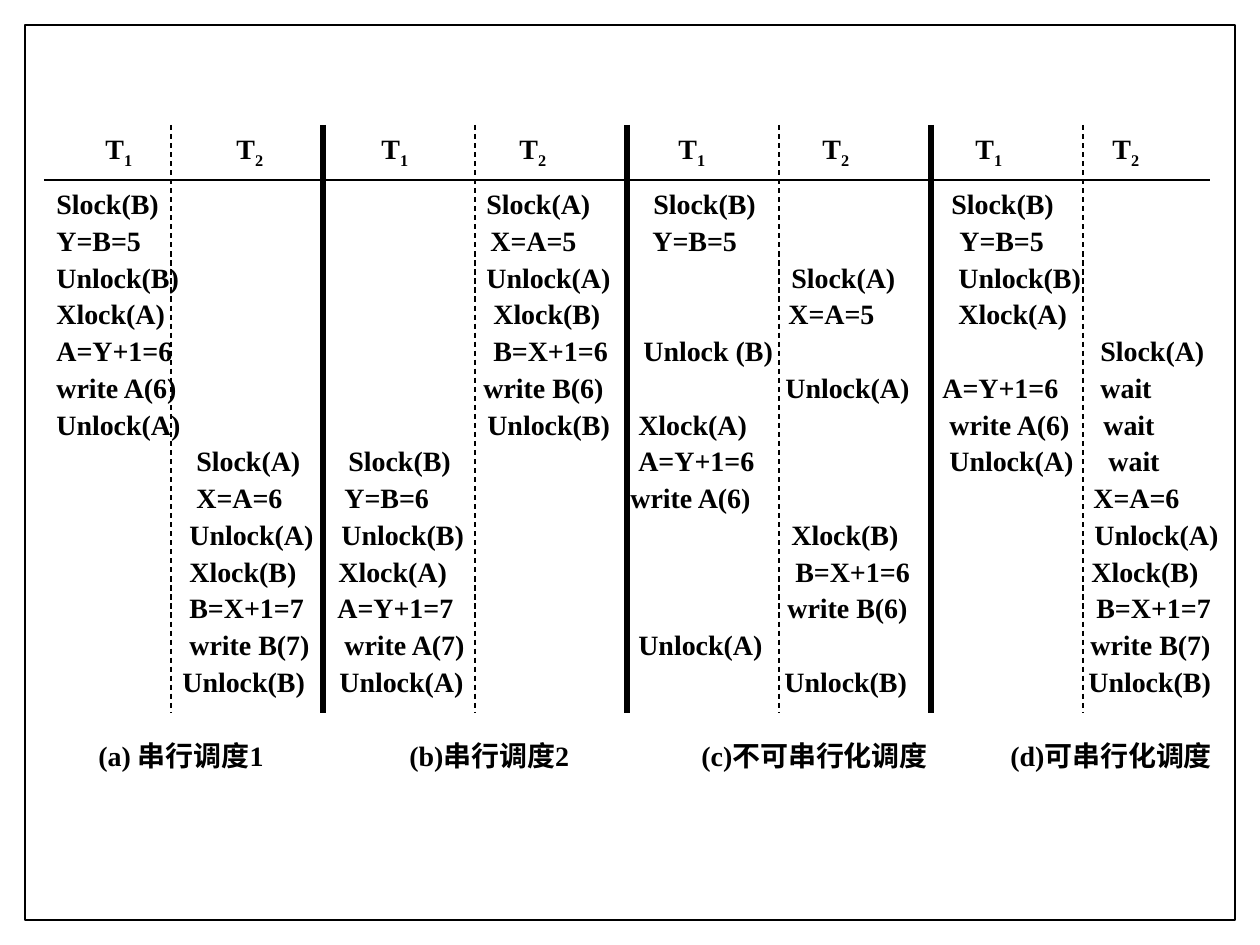
"""Build a slide comparing four schedules of two transactions."""

from dataclasses import dataclass

from lxml.etree import SubElement
from pptx import Presentation
from pptx.dml.color import RGBColor
from pptx.enum.dml import MSO_LINE
from pptx.enum.lang import MSO_LANGUAGE_ID
from pptx.enum.shapes import MSO_CONNECTOR, MSO_SHAPE
from pptx.enum.text import MSO_ANCHOR, PP_ALIGN
from pptx.oxml.ns import qn
from pptx.shapes.shapetree import GroupShapes
from pptx.util import Emu, Inches, Pt

PIXELS_PER_INCH = 126
COLORS = {"ink": "000000", "paper": "FFFFFF"}
LEFT, TEXT_LEFT = 44, 57
TOP, HEADER_BOTTOM, BOTTOM = 125, 180, 713
NARROW, WIDE = 1166, 1191
ROW_HEIGHT = 55
LAST_ROW_OFFSET = 478
FIRST_DIVIDER, DIVIDER_STEP, DIVIDER_COUNT = 171, 152, 7

FRAME_FORMAT = {
    "word_wrap": True,
    "vertical_anchor": MSO_ANCHOR.TOP,
    "margin_left": Inches(0.1),
    "margin_right": Inches(0.1),
    "margin_top": Inches(0.05),
    "margin_bottom": Inches(0.05),
}
FONT_FORMAT = {
    "name": "Times New Roman",
    "size": Pt(16),
    "bold": True,
    "language_id": MSO_LANGUAGE_ID.SIMPLIFIED_CHINESE,
}


@dataclass(frozen=True)
class Row:
    """A line of entries, each with its left edge in px and its wording."""

    width: int
    entries: tuple[tuple[int, str], ...]


@dataclass(frozen=True)
class Rule:
    """A straight line between two points in px."""

    start: tuple[int, int]
    end: tuple[int, int]
    weight: float
    dash: MSO_LINE | None = None


HEADER = Row(NARROW, (
    (106, "T_1"), (237, "T_2"), (382, "T_1"), (520, "T_2"),
    (679, "T_1"), (823, "T_2"), (976, "T_1"), (1113, "T_2"),
))
STEPS = (
    Row(NARROW, ((57, "Slock(B)"), (487, "Slock(A)"), (654, "Slock(B)"), (952, "Slock(B)"))),
    Row(NARROW, ((57, "Y=B=5"), (491, "X=A=5"), (653, "Y=B=5"), (960, "Y=B=5"))),
    Row(NARROW, ((57, "Unlock(B)"), (487, "Unlock(A)"), (792, "Slock(A)"), (959, "Unlock(B)"))),
    Row(NARROW, ((57, "Xlock(A)"), (494, "Xlock(B)"), (789, "X=A=5"), (959, "Xlock(A)"))),
    Row(WIDE, ((57, "A=Y+1=6"), (494, "B=X+1=6"), (644, "Unlock (B)"), (1101, "Slock(A)"))),
    Row(WIDE, ((57, "write A(6)"), (484, "write B(6)"), (786, "Unlock(A)"),
               (943, "A=Y+1=6"), (1101, "wait"))),
    Row(NARROW, ((57, "Unlock(A)"), (488, "Unlock(B)"), (639, "Xlock(A)"),
                 (950, "write A(6)"), (1104, "wait"))),
    Row(NARROW, ((197, "Slock(A)"), (349, "Slock(B)"), (639, "A=Y+1=6"),
                 (950, "Unlock(A)"), (1109, "wait"))),
    Row(NARROW, ((197, "X=A=6"), (345, "Y=B=6"), (631, "write A(6)"), (1094, "X=A=6"))),
    Row(WIDE, ((190, "Unlock(A)"), (342, "Unlock(B)"), (792, "Xlock(B)"), (1095, "Unlock(A)"))),
    Row(WIDE, ((190, "Xlock(B)"), (339, "Xlock(A)"), (796, "B=X+1=6"), (1092, "Xlock(B)"))),
    Row(WIDE, ((190, "B=X+1=7"), (338, "A=Y+1=7"), (788, "write B(6)"), (1097, "B=X+1=7"))),
    Row(WIDE, ((190, "write B(7)"), (345, "write A(7)"), (639, "Unlock(A)"), (1091, "write B(7)"))),
    Row(WIDE, ((183, "Unlock(B)"), (340, "Unlock(A)"), (785, "Unlock(B)"), (1089, "Unlock(B)"))),
)
CAPTIONS = Row(WIDE, (
    (99, "(a) 串行调度1"), (410, "(b)串行调度2"),
    (702, "(c)不可串行化调度"), (1011, "(d)可串行化调度"),
))


def px(length: int) -> Emu:
    """Turn whole px into EMU."""
    return Emu(round(length * 914400 / PIXELS_PER_INCH))


def color(name: str) -> RGBColor:
    """Look up a named colour."""
    return RGBColor.from_string(COLORS[name])


def apply_format(target: object, values: dict) -> None:
    """Set every attribute named in values."""
    for name, value in values.items():
        setattr(target, name, value)


def draw_rule(shapes: GroupShapes, rule: Rule) -> None:
    """Draw one straight line without a shadow."""
    connector = shapes.add_connector(
        MSO_CONNECTOR.STRAIGHT, *map(px, rule.start + rule.end))
    connector.line.color.rgb = color("ink")
    apply_format(connector.line, {"width": Pt(rule.weight), "dash_style": rule.dash})
    SubElement(connector._element.spPr, qn("a:effectLst"))


def add_text(paragraph, text: str, subscript: bool = False) -> None:
    """Append a formatted run."""
    run = paragraph.add_run()
    run.text = text
    apply_format(run.font, FONT_FORMAT)
    run.font.color.rgb = color("ink")
    if subscript:
        run.font._element.set("baseline", "-25000")


def draw_row(shapes: GroupShapes, row: Row, top: int, height: int = ROW_HEIGHT) -> None:
    """Draw a text line whose entries stand at tab stops."""
    box = shapes.add_textbox(px(LEFT), px(top), px(row.width), px(height))
    apply_format(box.text_frame, FRAME_FORMAT)
    paragraph = box.text_frame.paragraphs[0]
    paragraph.alignment = PP_ALIGN.JUSTIFY
    tab_list = SubElement(paragraph._p.get_or_add_pPr(), qn("a:tabLst"))
    for left, text in row.entries:
        gap = ""
        if left > TEXT_LEFT:
            gap = "\t"
            SubElement(tab_list, qn("a:tab"), pos=str(px(left - TEXT_LEFT)), algn="l")
        base, _, index = text.partition("_")
        add_text(paragraph, gap + base)
        if index:
            add_text(paragraph, index, subscript=True)


def main() -> None:
    """Assemble and save the presentation."""
    presentation = Presentation()
    apply_format(presentation, {"slide_width": px(1260), "slide_height": px(945)})
    slide = presentation.slides.add_slide(presentation.slide_layouts[6])

    border = slide.shapes.add_shape(MSO_SHAPE.RECTANGLE, *map(px, (25, 25, 1210, 895)))
    border.shadow.inherit = False
    border.fill.solid()
    border.fill.fore_color.rgb = color("paper")
    border.line.color.rgb = color("ink")
    border.line.width = Pt(1)

    shapes = slide.shapes.add_group_shape().shapes
    for index in range(DIVIDER_COUNT):
        x = FIRST_DIVIDER + index * DIVIDER_STEP
        weight, dash = (3, None) if index % 2 else (0.75, MSO_LINE.DASH)
        draw_rule(shapes, Rule((x, TOP), (x, BOTTOM), weight, dash))
    draw_rule(shapes, Rule((LEFT, HEADER_BOTTOM), (LEFT + NARROW, HEADER_BOTTOM), 0.75))

    draw_row(shapes, HEADER, TOP)
    for index, row in enumerate(STEPS):
        offset = round(index * LAST_ROW_OFFSET / (len(STEPS) - 1))
        draw_row(shapes, row, HEADER_BOTTOM + offset)
    draw_row(shapes, CAPTIONS, 732, 62)

    presentation.save("out.pptx")


if __name__ == "__main__":
    main()
